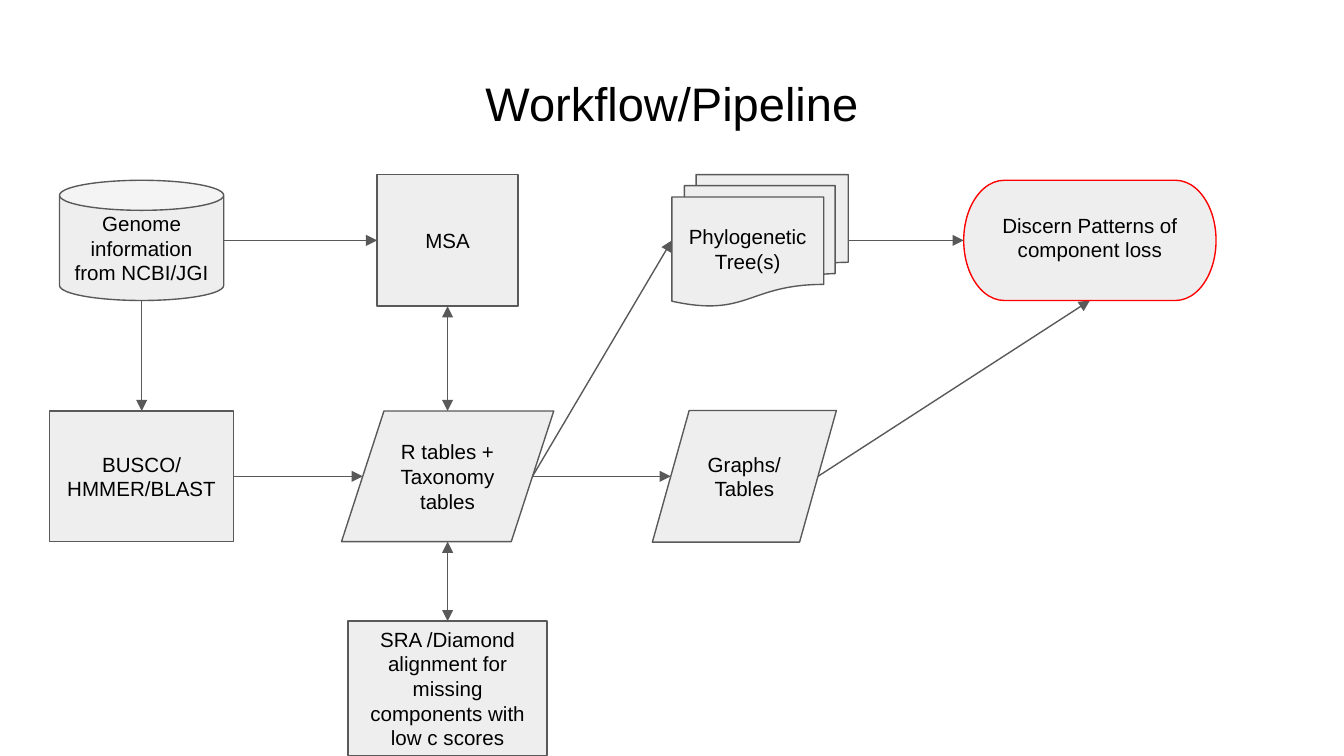
from pptx import Presentation
from pptx.dml.color import RGBColor as RGB
from pptx.enum.shapes import MSO_CONNECTOR as Link, MSO_SHAPE as Kind
from pptx.enum.text import MSO_ANCHOR as Anchor, PP_ALIGN as Align
from pptx.oxml.ns import qn
from pptx.util import Pt
from lxml.etree import SubElement

HUES = {"ink": "000000", "fill": "EEEEEE", "line": "595959", "goal": "FF0000"}
FONT = "Arial"
PAD = 7.2

# Column centres and row centres, inside the flow box
COLS = [49.3, 213.2, 376.4, 557.3]
ROWS = [35.2, 161.6, 275.2]

# name: kind, centre x, centre y, width, height, text
NODES = {
    "genome": (Kind.CAN, COLS[0], ROWS[0], 88, 64.4,
               "Genome information from NCBI/JGI"),
    "msa": (Kind.RECTANGLE, COLS[1], ROWS[0], 75.6, 70.5, "MSA"),
    "tree": (Kind.FLOWCHART_MULTIDOCUMENT, COLS[2] + 4.2, ROWS[0], 94.5, 70.5,
             "Phylogenetic Tree(s)"),
    "goal": (Kind.FLOWCHART_TERMINATOR, COLS[3], ROWS[0], 135.2, 64.4,
             "Discern Patterns of component loss"),
    "busco": (Kind.RECTANGLE, COLS[0], ROWS[1], 98.6, 70, "BUSCO/HMMER/BLAST"),
    "table": (Kind.FLOWCHART_DATA, COLS[1], ROWS[1], 113.7, 70,
              "R tables + Taxonomy tables"),
    "graph": (Kind.FLOWCHART_DATA, COLS[2] - 4.2, ROWS[1], 98.6, 70.5,
              "Graphs/Tables"),
    "sra": (Kind.RECTANGLE, COLS[1], ROWS[2], 106.6, 72,
            "SRA /Diamond alignment for missing components with low c scores"),
}

# Points on a node, as shares of its width and height
SIDES = {"top": (0.5, 0), "low": (0.5, 1), "left": (0, 0.5), "right": (1, 0.5)}
SLANT = {"left": (0.1, 0.5), "right": (0.9, 0.5)}

# from, side, to, side, double-headed
LINKS = [
    ("genome", "right", "msa", "left", False),
    ("genome", "low", "busco", "top", False),
    ("busco", "right", "table", "left", False),
    ("msa", "low", "table", "top", True),
    ("table", "low", "sra", "top", True),
    ("table", "right", "tree", "left", False),
    ("table", "right", "graph", "left", False),
    ("tree", "right", "goal", "left", False),
    ("graph", "right", "goal", "low", False),
]


def write(frame, text, size):
    frame.text = text
    frame.word_wrap = True
    frame.vertical_anchor = Anchor.MIDDLE
    frame.margin_left = frame.margin_right = Pt(PAD)
    frame.margin_top = frame.margin_bottom = Pt(PAD)
    para = frame.paragraphs[0]
    para.alignment = Align.CENTER
    font = para.runs[0].font
    font.name, font.size = FONT, Pt(size)
    font.color.rgb = RGB.from_string(HUES["ink"])


def stroke(line, hue):
    line.color.rgb = RGB.from_string(HUES[hue])
    line.width = Pt(0.75)


def node(slide, box, name):
    kind, mid_x, mid_y, wide, high, text = NODES[name]
    left, top = box[0] + mid_x - wide / 2, box[1] + mid_y - high / 2
    shape = slide.shapes.add_shape(kind, Pt(left), Pt(top), Pt(wide), Pt(high))
    shape.shadow.inherit = False
    shape.fill.solid()
    shape.fill.fore_color.rgb = RGB.from_string(HUES["fill"])
    stroke(shape.line, "goal" if name == "goal" else "line")
    write(shape.text_frame, text, 11)
    return shape


def spot(box, name, side):
    kind, mid_x, mid_y, wide, high, _ = NODES[name]
    across, down = SIDES[side]
    if kind == Kind.FLOWCHART_DATA:
        across, down = SLANT.get(side, (across, down))
    return (Pt(box[0] + mid_x + (across - 0.5) * wide),
            Pt(box[1] + mid_y + (down - 0.5) * high))


def arrow(slide, start, end, double):
    link = slide.shapes.add_connector(Link.STRAIGHT, *start, *end)
    stroke(link.line, "line")
    props = link.line._get_or_add_ln()
    for tag in ["a:headEnd", "a:tailEnd"] if double else ["a:tailEnd"]:
        SubElement(props, qn(tag), type="triangle")
    SubElement(link._element.spPr, qn("a:effectLst"))


def head(slide, box):
    title = slide.shapes.title
    title.left, title.top, title.width, title.height = map(Pt, box)
    write(title.text_frame, "Workflow/Pipeline", 25.2)


def flow(slide, box):
    for source, exit_, target, entry, double in LINKS:
        arrow(slide, spot(box, source, exit_), spot(box, target, entry), double)
    shapes = {name: node(slide, box, name) for name in NODES}
    # The goal's text sits a little above its middle
    shapes["goal"].text_frame.margin_bottom = Pt(PAD + 3.2)


def main():
    deck = Presentation()
    deck.slide_width, deck.slide_height = Pt(720), Pt(405)
    slide = deck.slides.add_slide(deck.slide_layouts[5])
    head(slide, (24.5, 32.4, 671, 45.4))
    flow(slide, (26.6, 93.6))
    deck.save("out.pptx")


if __name__ == "__main__":
    main()
